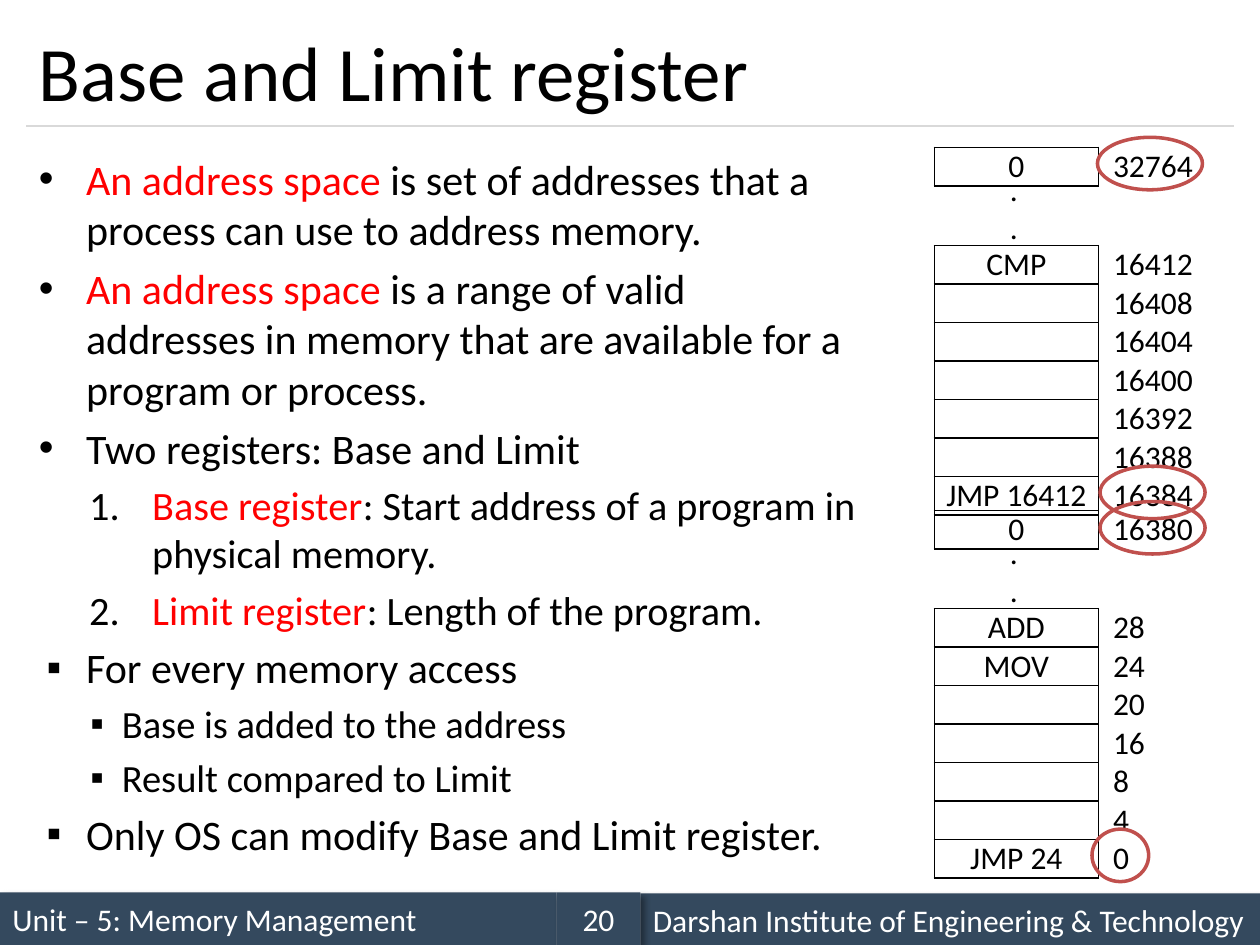
from dataclasses import dataclass
from typing import Any

from lxml import etree
from pptx import Presentation
from pptx.dml.color import RGBColor
from pptx.enum import shapes, text
from pptx.oxml import ns
from pptx.util import Pt

BLACK, WHITE, RED = "000000", "FFFFFF", "FF0000"
NAVY, RULE_GREY, RING_RED = "34495E", "D9D9D9", "C0504D"
FONT = "Calibri"
PLAIN_GRID = "{2D5ABB26-0587-4C30-8999-92F81FD0307C}"
CELL_LEFT, CELL_WIDTH = 534, 93.6
ADDRESS_LEFT, ADDRESS_WIDTH = 636, 54
ROW_HEIGHT = 21.6


@dataclass
class Item:
    key: str
    rest: str
    size: float
    level: int
    margin: float
    indent: float
    bullet: str


@dataclass
class Block:
    top: float
    cells: list[str]
    addresses: list[str]


@dataclass
class Band:
    left: float
    top: float
    width: float
    label: str
    align: Any


@dataclass
class Ring:
    left: float
    top: float
    width: float


ITEMS = [
    Item("An address space", " is set of addresses that a process can use to address memory.",
         24, 0, 27, -27, "•"),
    Item("An address space ", "is a range of valid addresses in memory that are available for a "
         "program or process.", 24, 0, 27, -27, "•"),
    Item("", "Two registers: Base and Limit", 24, 0, 27, -27, "•"),
    Item("Base register", ": Start address of a program in physical memory.",
         23, 1, 64.8, -36, "1."),
    Item("Limit register", ": Length of the program.", 23, 1, 64.8, -36, "1."),
    Item("", "For every memory access", 24, 1, 27, -22.5, "▪"),
    Item("", "Base is added to the address", 22, 2, 47.5, -18, "▪"),
    Item("", "Result compared to Limit", 22, 2, 47.5, -18, "▪"),
    Item("", "Only OS can modify Base and Limit register.", 24, 1, 27, -22.5, "▪"),
]
BLOCKS = [
    Block(347.76, ["ADD", "MOV", "", "", "", "", "JMP 24"],
          ["28", "24", "20", "16", "8", "4", "0"]),
    Block(291.6, ["0"], ["16380"]),
    Block(140.4, ["CMP", "", "", "", "", "", "JMP 16412"],
          ["16412", "16408", "16404", "16400", "16392", "16388", "16384"]),
    Block(84.24, ["0"], ["32764"]),
]
BANDS = [
    Band(0, 510, 318, "Unit – 5: Memory Management", text.PP_ALIGN.LEFT),
    Band(366, 510.5, 354, "Darshan Institute of Engineering & Technology", text.PP_ALIGN.LEFT),
    Band(318, 510, 48, "20", text.PP_ALIGN.CENTER),
]
RINGS = [Ring(624, 473.8, 32.4), Ring(628.6, 266.4, 60),
         Ring(627.1, 78.5, 60), Ring(628.6, 286.6, 60)]
GAP_TOPS = [301, 93.6]


def rgb(value: str) -> RGBColor:
    return RGBColor.from_string(value)


def apply(target: Any, values: dict) -> None:
    for name, value in values.items():
        setattr(target, name, value)


def child(parent: Any, tag: str, **attributes: str) -> Any:
    return etree.SubElement(parent, ns.qn(tag), attributes)


def add_run(paragraph: Any, wording: str, size: float, color: str = BLACK) -> None:
    run = paragraph.add_run()
    run.text = wording
    apply(run.font, {"size": Pt(size), "name": FONT})
    run.font.color.rgb = rgb(color)


def move(part: Any, left: float, top: float, width: float, height: float) -> None:
    apply(part, {"left": Pt(left), "top": Pt(top), "width": Pt(width), "height": Pt(height)})


def draw_item(paragraph: Any, item: Item) -> None:
    paragraph.level = item.level
    props = paragraph._p.get_or_add_pPr()
    props.set("marL", str(int(Pt(item.margin))))
    props.set("indent", str(int(Pt(item.indent))))
    child(child(props, "a:buClr"), "a:srgbClr", val=BLACK)
    child(props, "a:buFont", typeface="Calibri" if item.bullet == "1." else "Arial")
    if item.bullet == "1.":
        child(props, "a:buAutoNum", type="arabicPeriod")
    else:
        child(props, "a:buChar", char=item.bullet)
    if item.key:
        add_run(paragraph, item.key, item.size, RED)
    add_run(paragraph, item.rest, item.size)


def draw_column(slide: Any, left: float, top: float, width: float, labels: list[str],
                align: Any, bordered: bool) -> None:
    frame = slide.shapes.add_table(len(labels), 1, Pt(left), Pt(top), Pt(width),
                                   Pt(ROW_HEIGHT * len(labels)))
    table = frame.table
    apply(table, {"first_row": False, "horz_banding": False})
    table._tbl.tblPr.find(ns.qn("a:tableStyleId")).text = PLAIN_GRID
    for row, label in zip(table.rows, labels):
        row.height = Pt(ROW_HEIGHT)
        cell = row.cells[0]
        apply(cell, dict.fromkeys(
            ["margin_left", "margin_right", "margin_top", "margin_bottom"], 0))
        paragraph = cell.text_frame.paragraphs[0]
        paragraph.alignment = align
        if label:
            add_run(paragraph, label, 18)
        else:
            child(paragraph._p, "a:endParaRPr", sz="1800")
        if bordered:
            props = cell._tc.get_or_add_tcPr()
            for side in ("a:lnL", "a:lnR", "a:lnT", "a:lnB"):
                edge = child(props, side, w=str(int(Pt(1))))
                child(child(edge, "a:solidFill"), "a:srgbClr", val=BLACK)
        cell.fill.background()


def draw_gap(slide: Any, top: float) -> None:
    frame = slide.shapes.add_textbox(Pt(570), Pt(top), Pt(18), Pt(51)).text_frame
    frame.word_wrap = True
    add_run(frame.paragraphs[0], ".", 18)
    add_run(frame.add_paragraph(), ".", 18)


def draw_band(slide: Any, band: Band) -> None:
    bar = slide.shapes.add_shape(shapes.MSO_SHAPE.RECTANGLE, Pt(band.left), Pt(band.top),
                                 Pt(band.width), Pt(30))
    bar.fill.solid()
    bar.fill.fore_color.rgb = rgb(NAVY)
    bar.line.fill.background()
    bar.shadow.inherit = False
    effects = bar._element.spPr.find(ns.qn("a:effectLst"))
    shadow = child(effects, "a:outerShdw", blurRad=str(int(Pt(4))), dist=str(int(Pt(3))),
                   dir="2700000", algn="tl", rotWithShape="0")
    child(child(shadow, "a:srgbClr", val=BLACK), "a:alpha", val="40000")
    apply(bar.text_frame, {"word_wrap": True, "vertical_anchor": text.MSO_ANCHOR.MIDDLE})
    paragraph = bar.text_frame.paragraphs[0]
    paragraph.alignment = band.align
    add_run(paragraph, band.label, 18, WHITE)


def draw_ring(slide: Any, ring: Ring) -> None:
    oval = slide.shapes.add_shape(shapes.MSO_SHAPE.OVAL, Pt(ring.left), Pt(ring.top),
                                  Pt(ring.width), Pt(30))
    oval.fill.background()
    oval.line.color.rgb = rgb(RING_RED)
    oval.line.width = Pt(2)
    oval.shadow.inherit = False


def main() -> None:
    deck = Presentation()
    apply(deck, {"slide_width": Pt(720), "slide_height": Pt(540)})
    slide = deck.slides.add_slide(deck.slide_layouts[1])
    title, body = slide.shapes.title, slide.placeholders[1]

    move(title, 15, 8.4, 690, 63.6)
    apply(title.text_frame, {"vertical_anchor": text.MSO_ANCHOR.MIDDLE, "word_wrap": True,
                             "auto_size": text.MSO_AUTO_SIZE.NONE})
    heading = title.text_frame.paragraphs[0]
    heading.alignment = text.PP_ALIGN.LEFT
    add_run(heading, "Base and Limit register", 44)

    move(body, 15, 84, 483, 420)
    apply(body.text_frame, {"word_wrap": True, "auto_size": text.MSO_AUTO_SIZE.NONE})
    for index, item in enumerate(ITEMS):
        frame = body.text_frame
        draw_item(frame.add_paragraph() if index else frame.paragraphs[0], item)
    body.text_frame.paragraphs[0].space_before = Pt(0)

    for band in BANDS:
        draw_band(slide, band)
    rule = slide.shapes.add_connector(shapes.MSO_CONNECTOR.STRAIGHT,
                                      Pt(15), Pt(72), Pt(705), Pt(72))
    rule.line.color.rgb = rgb(RULE_GREY)
    rule.line.width = Pt(0.75)
    child(rule._element.spPr, "a:effectLst")

    for block in BLOCKS:
        draw_column(slide, CELL_LEFT, block.top, CELL_WIDTH, block.cells,
                    text.PP_ALIGN.CENTER, True)
        draw_column(slide, ADDRESS_LEFT, block.top, ADDRESS_WIDTH, block.addresses,
                    text.PP_ALIGN.LEFT, False)
    for top in GAP_TOPS:
        draw_gap(slide, top)
    for ring in RINGS:
        draw_ring(slide, ring)
    deck.save("out.pptx")


if __name__ == "__main__":
    main()
